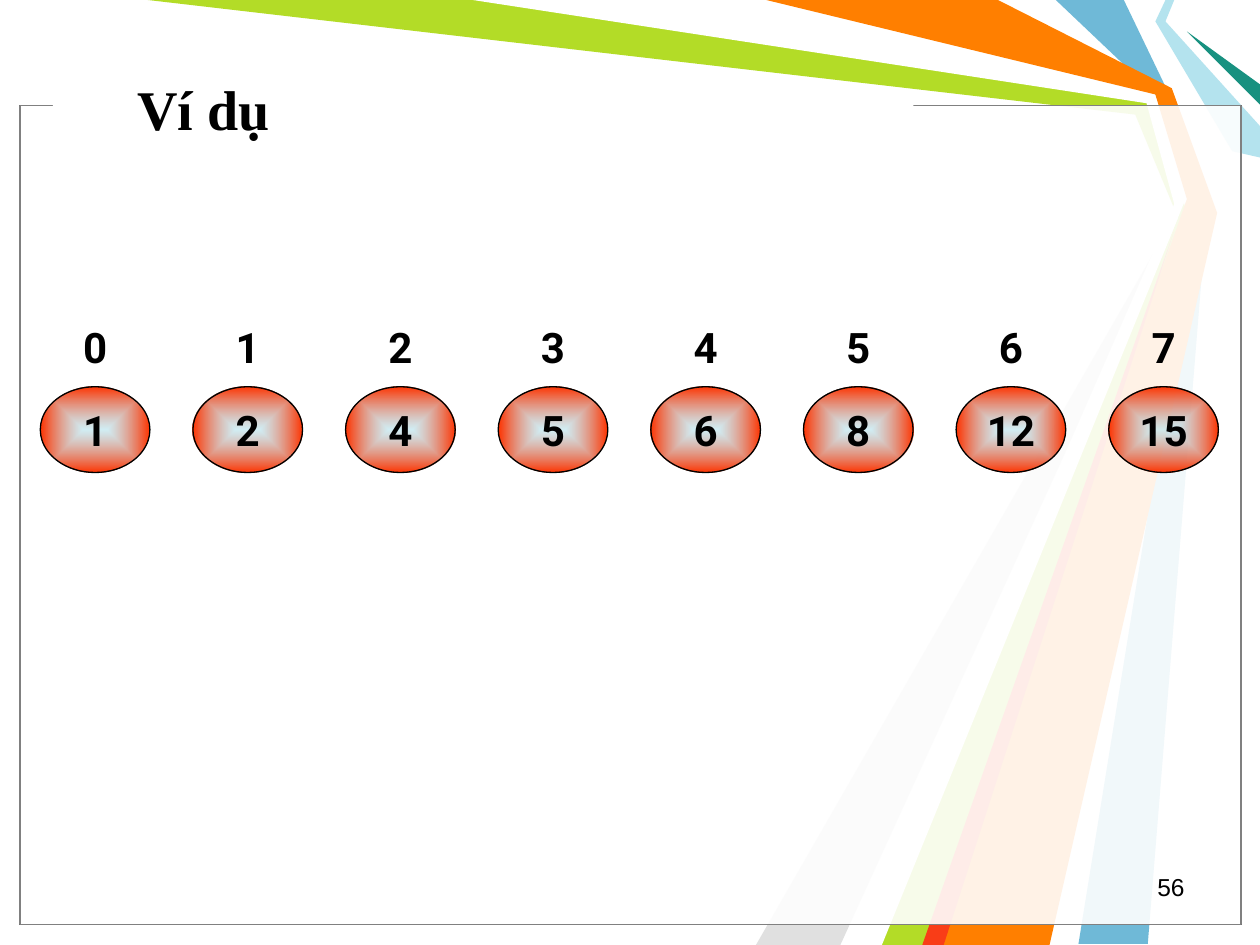
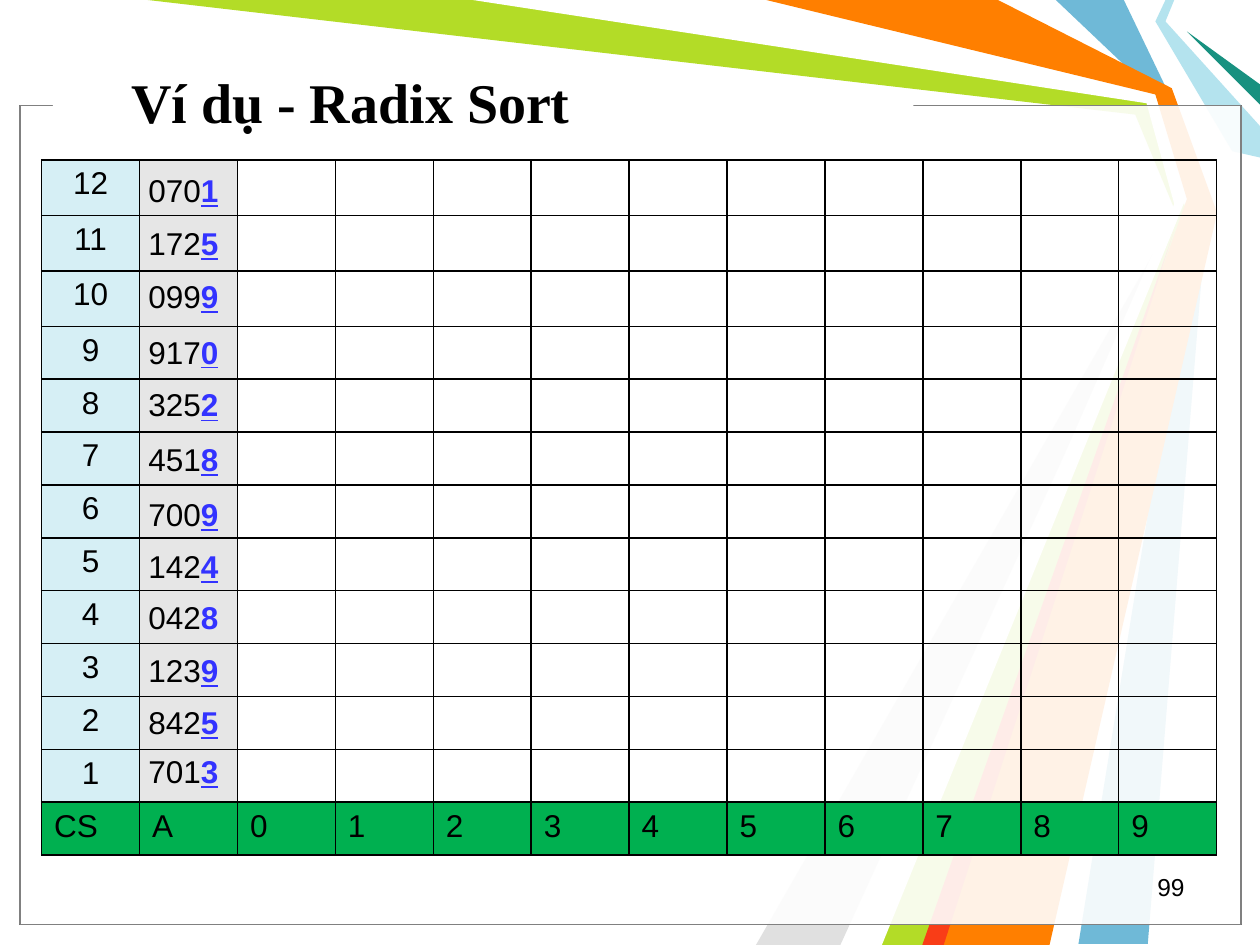
"""Build two slides on sorting: an indexed array and an empty radix sort grid."""
import dataclasses

import pptx
import pptx.dml.color
import pptx.enum.shapes
import pptx.enum.text
import pptx.oxml
import pptx.oxml.ns
import pptx.util
from pptx.util import Inches

ALIGN = pptx.enum.text.PP_ALIGN
ANCHOR = pptx.enum.text.MSO_ANCHOR
SHAPES = pptx.enum.shapes.MSO_SHAPE
NAMESPACE = 'xmlns:a="http://schemas.openxmlformats.org/drawingml/2006/main"'


@dataclasses.dataclass(frozen=True)
class Theme:
    """Colours, fonts and type sizes of the deck."""
    black: str = "000000"
    white: str = "FFFFFF"
    gray: str = "808080"
    silver: str = "E0E0E0"
    blue: str = "6FB9D7"
    lime: str = "B3DC27"
    aqua: str = "B4E3EE"
    teal: str = "189180"
    orange: str = "FF7F00"
    red: str = "F93D17"
    node_edge: str = "FF3300"
    digit: str = "3333FF"
    position_fill: str = "D6EFF5"
    key_fill: str = "E6E6E6"
    bucket_fill: str = "00B050"
    title_font: str = "Times New Roman"
    body_font: str = "Arial"
    node_font: str = "Roboto"
    title_size: int = 32
    node_size: int = 24
    body_size: int = 18
    page_size: int = 14


THEME = Theme()

RIBBONS = [
    (THEME.blue, [(8.92, 0), (9.29, 0.77), (9.58, 1.67), (9.11, 7.49),
                  (8.56, 7.49), (9.5, 1.67), (9.17, 0.75), (8.38, 0)]),
    (THEME.lime, [(1.17, 0), (3.83, 0), (9.14, 0.78), (9.42, 1.69),
                  (7.42, 7.5), (6.92, 7.5), (9.35, 1.73), (9.01, 0.91)]),
    (THEME.silver, [(6.67, 7.5), (9.27, 1.81), (6, 7.5)]),
    (THEME.white, [(3.75, 0), (9.1, 0.82), (9.32, 1.62), (6.75, 7.5),
                   (7, 7.5), (9.41, 1.58), (9.17, 0.75), (6, 0)]),
    (THEME.aqua, [(9.25, 0), (9.17, 0.17), (9.78, 1.2), (10, 1.25),
                  (10, 1), (9.25, 0.17), (9.32, 0)]),
    (THEME.teal, [(10, 0.83), (9.42, 0.25), (10, 0.67)]),
    (THEME.orange, [(6.08, 0), (7.92, 0), (9.3, 0.7), (9.66, 1.69),
                    (8.33, 7.5), (7.33, 7.5), (9.42, 1.58), (9.17, 0.75)]),
    (THEME.red, [(7.32, 7.5), (9.32, 1.83), (7.49, 7.5)]),
]
PANEL = (0.16, 0.84, 9.69, 6.5)
TITLE_GAP = (0.42, 0.74, 6.83, 0.17)
PAGE_NUMBER = (7.17, 6.87, 2.33, 0.33)

ARRAY_TITLE = ("Ví dụ", (0.99, 0.47, 6.89, 0.78), "56")
ARRAY_VALUES = [1, 2, 4, 5, 6, 8, 12, 15]
FIRST_NODE, LAST_NODE = 0.32, 8.8

RADIX_TITLE = ("Ví dụ - Radix Sort", (0.94, 0.53, 6.89, 0.55), "99")
RADIX_KEYS = [
    ("0701", 1.31), ("1725", 1.73), ("0999", 2.15), ("9170", 2.59),
    ("3252", 3.01), ("4518", 3.44), ("7009", 3.88), ("1424", 4.29),
    ("0428", 4.7), ("1239", 5.12), ("8425", 5.53), ("7013", 5.92),
]
PLAIN_KEY = "0428"
GRID_HEADER = ["CS", "A", *map(str, range(10))]
GRID_BOX = (0.33, 1.27, 9.33, 5.52)
TALL_ROWS, TALL_HEIGHT, ROW_HEIGHT = 3, 0.44, 0.42


def place(box):
    """Convert a box in inches to lengths."""
    return [Inches(value) for value in box]


def rgb(color):
    """Return a colour object for a hexadecimal string."""
    return pptx.dml.color.RGBColor.from_string(color)


def write(frame, text, *, size=THEME.body_size, font=THEME.body_font,
          color=THEME.black, bold=False, underline=False, align=ALIGN.LEFT,
          before=0):
    """Append a formatted run to the first paragraph of a text frame."""
    paragraph = frame.paragraphs[0]
    paragraph.alignment = align
    if before:
        paragraph.space_before = pptx.util.Pt(before)
    run = paragraph.add_run()
    run.text = text
    run.font.size = pptx.util.Pt(size)
    run.font.name = font
    run.font.bold = bold
    run.font.underline = underline
    run.font.color.rgb = rgb(color)


def paint(shape, fill=None, line=None, opacity=None):
    """Set the fill and outline of a shape and drop its shadow."""
    shape.shadow.inherit = False
    if fill:
        shape.fill.solid()
        shape.fill.fore_color.rgb = rgb(fill)
    else:
        shape.fill.background()
    if opacity:
        color = shape.element.spPr.find(".//" + pptx.oxml.ns.qn("a:srgbClr"))
        color.append(pptx.oxml.parse_xml(
            f'<a:alpha {NAMESPACE} val="{opacity * 1000}"/>'))
    if line:
        shape.line.color.rgb = rgb(line)
        shape.line.width = pptx.util.Pt(0.75)
    else:
        shape.line.fill.background()


def glow(shape):
    """Fill a shape with a gradient that runs from its centre to its edge."""
    empty_fill = shape.element.spPr.find(pptx.oxml.ns.qn("a:noFill"))
    shape.element.spPr.replace(empty_fill, pptx.oxml.parse_xml(
        f'<a:gradFill {NAMESPACE} rotWithShape="1"><a:gsLst>'
        f'<a:gs pos="0"><a:srgbClr val="{THEME.aqua}">'
        '<a:alpha val="60000"/></a:srgbClr></a:gs>'
        f'<a:gs pos="100000"><a:srgbClr val="{THEME.node_edge}"/></a:gs>'
        '</a:gsLst><a:path path="shape">'
        '<a:fillToRect l="50000" t="50000" r="50000" b="50000"/>'
        '</a:path></a:gradFill>'))


def decorate(layout, slide):
    """Draw the ribbons and the frame and hand them to the layout."""
    for placeholder in list(layout.placeholders)[1:]:
        layout.shapes.element.remove(placeholder.element)
    decorations = []
    for color, points in RIBBONS:
        start, *others = [place(point) for point in points]
        builder = slide.shapes.build_freeform(*start)
        builder.add_line_segments(others, close=True)
        ribbon = builder.convert_to_shape()
        paint(ribbon, color)
        decorations.append(ribbon)
    for box, line, opacity in [(PANEL, THEME.black, 69),
                               (PANEL, THEME.gray, 69),
                               (TITLE_GAP, None, None)]:
        shape = slide.shapes.add_shape(SHAPES.RECTANGLE, *place(box))
        paint(shape, THEME.white, line, opacity)
        decorations.append(shape)
    for shape in decorations:
        layout.shapes.element.append(shape.element)


def add_heading(slide, text, box, page):
    """Fill the title placeholder and add the page number."""
    title = slide.shapes.title
    title.left, title.top, title.width, title.height = place(box)
    frame = title.text_frame
    frame.vertical_anchor = ANCHOR.MIDDLE
    frame.auto_size = pptx.enum.text.MSO_AUTO_SIZE.NONE
    write(frame, text, size=THEME.title_size, font=THEME.title_font, bold=True)
    number = slide.shapes.add_textbox(*place(PAGE_NUMBER)).text_frame
    number.word_wrap = True
    write(number, page, size=THEME.page_size, align=ALIGN.RIGHT)


def add_node(slide, text, box, line=None):
    """Add an ellipse with a bold centred number."""
    node = slide.shapes.add_shape(SHAPES.OVAL, *place(box))
    paint(node, line=line)
    frame = node.text_frame
    frame.word_wrap = False
    frame.vertical_anchor = ANCHOR.MIDDLE
    frame.margin_left = frame.margin_right = 0
    frame.margin_top = frame.margin_bottom = 0
    write(frame, str(text), size=THEME.node_size, font=THEME.node_font,
          bold=True, align=ALIGN.CENTER, before=5)
    return node


def add_array(slide):
    """Draw the array values with their indices above."""
    step = (LAST_NODE - FIRST_NODE) / (len(ARRAY_VALUES) - 1)
    for index, value in enumerate(ARRAY_VALUES):
        left = FIRST_NODE + index * step
        glow(add_node(slide, value, (left, 3.07, 0.87, 0.68), THEME.black))
        add_node(slide, index, (left, 2.42, 0.87, 0.66))


def format_cell(cell, fill):
    """Set the fill and the four borders of a table cell."""
    properties = cell._tc.get_or_add_tcPr()
    for side in ("lnL", "lnR", "lnT", "lnB"):
        properties.append(pptx.oxml.parse_xml(
            f'<a:{side} {NAMESPACE} w="12700"><a:solidFill>'
            f'<a:srgbClr val="{THEME.black}"/></a:solidFill></a:{side}>'))
    if fill:
        cell.fill.solid()
        cell.fill.fore_color.rgb = rgb(fill)
    else:
        cell.fill.background()


def add_grid(slide):
    """Add the table of positions, keys and digit buckets."""
    row_count, column_count = len(RADIX_KEYS) + 1, len(GRID_HEADER)
    table = slide.shapes.add_table(
        row_count, column_count, *place(GRID_BOX)).table
    table.first_row = table.horz_banding = False
    for column in table.columns:
        column.width = Inches(GRID_BOX[2] / column_count)
    fills = [THEME.position_fill, THEME.key_fill]
    fills += [None] * (column_count - len(fills))
    for row_index, row in enumerate(table.rows):
        row.height = Inches(
            TALL_HEIGHT if row_index < TALL_ROWS else ROW_HEIGHT)
        is_header = row_index == row_count - 1
        for column_index, cell in enumerate(row.cells):
            format_cell(cell, THEME.bucket_fill if is_header
                        else fills[column_index])
            if is_header:
                write(cell.text_frame, GRID_HEADER[column_index])
            elif column_index == 0:
                write(cell.text_frame, str(row_count - 1 - row_index),
                      align=ALIGN.CENTER)


def add_keys(slide):
    """Place the keys with their last digit highlighted."""
    for key, top in RADIX_KEYS:
        box = slide.shapes.add_textbox(*place((1.08, top, 0.76, 0.4)))
        frame = box.text_frame
        frame.word_wrap = False
        write(frame, key[:-1])
        write(frame, key[-1], color=THEME.digit, bold=True,
              underline=key != PLAIN_KEY)


def main():
    """Build and save the presentation."""
    presentation = pptx.Presentation()
    presentation.slide_width = Inches(10)
    presentation.slide_height = Inches(7.5)
    layout = presentation.slide_layouts[5]
    array_slide = presentation.slides.add_slide(layout)
    decorate(layout, array_slide)
    add_heading(array_slide, *ARRAY_TITLE)
    add_array(array_slide)
    radix_slide = presentation.slides.add_slide(layout)
    add_heading(radix_slide, *RADIX_TITLE)
    add_grid(radix_slide)
    add_keys(radix_slide)
    presentation.save("out.pptx")


if __name__ == "__main__":
    main()
